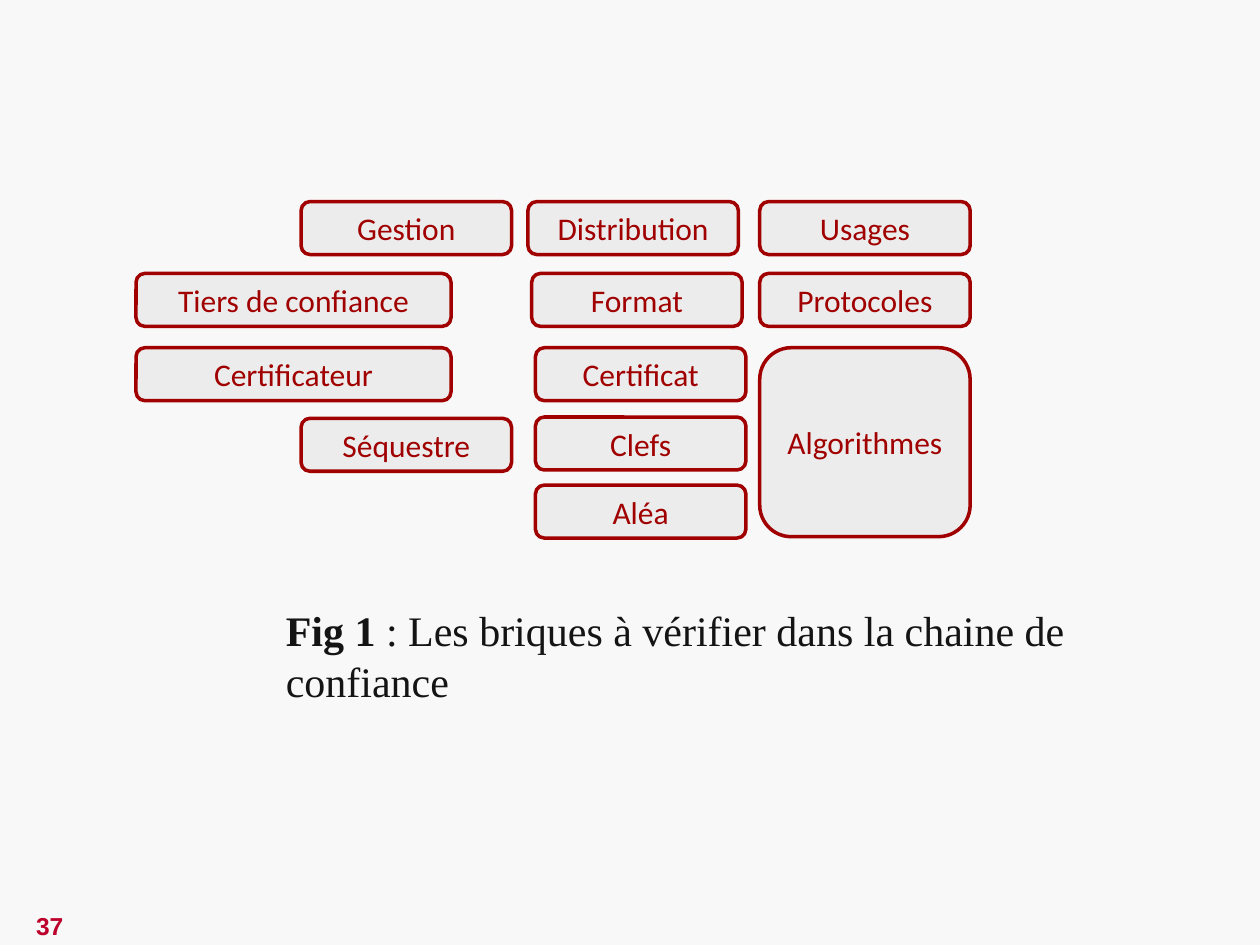
import typing
from dataclasses import dataclass

import pptx
import pptx.dml.color
import pptx.enum.shapes
import pptx.enum.text
import pptx.util

Inches = pptx.util.Inches
Pt = pptx.util.Pt
Align = pptx.enum.text.PP_ALIGN
Anchor = pptx.enum.text.MSO_ANCHOR

COLORS = {
    "back": "F8F8F8",
    "fill": "ECECEC",
    "brick": "A00000",
    "text": "141414",
    "page": "BC002B",
}
ROWS = (1.6, 2.17, 2.76, 3.31, 3.85)
WIDE = 2.5


@dataclass(frozen=True)
class Brick:
    text: str
    left: float
    top: float
    width: float = 1.67
    height: float = 0.42


BRICKS = (
    Brick("Gestion", 2.39, ROWS[0]),
    Brick("Tiers de confiance", 1.08, ROWS[1], WIDE),
    Brick("Certificateur", 1.08, ROWS[2], WIDE),
    Brick("Séquestre", 2.39, 3.32),
    Brick("Distribution", 4.19, ROWS[0]),
    Brick("Format", 4.22, ROWS[1]),
    Brick("Certificat", 4.25, ROWS[2]),
    Brick("Clefs", 4.25, ROWS[3]),
    Brick("Aléa", 4.25, ROWS[4]),
    Brick("Usages", 6.03, ROWS[0]),
    Brick("Protocoles", 6.03, ROWS[1]),
    Brick("Algorithmes", 6.03, ROWS[2], height=1.5),
)


def color(name: str) -> pptx.dml.color.RGBColor:
    return pptx.dml.color.RGBColor.from_string(COLORS[name])


def set_font(para: typing.Any, name: str, size: int, tone: str) -> None:
    para.font.name = name
    para.font.size = Pt(size)
    para.font.color.rgb = color(tone)


def draw_brick(slide: typing.Any, brick: Brick) -> None:
    shape = slide.shapes.add_shape(
        pptx.enum.shapes.MSO_SHAPE.ROUNDED_RECTANGLE,
        Inches(brick.left), Inches(brick.top),
        Inches(brick.width), Inches(brick.height),
    )
    shape.shadow.inherit = False
    shape.fill.solid()
    shape.fill.fore_color.rgb = color("fill")
    shape.line.color.rgb = color("brick")
    shape.line.width = Pt(2)
    frame = shape.text_frame
    frame.vertical_anchor = Anchor.MIDDLE
    para = frame.paragraphs[0]
    para.text = brick.text
    para.alignment = Align.CENTER
    set_font(para, "Calibri", 18, "brick")


def add_box(slide: typing.Any, left: float, top: float,
            width: float, height: float) -> typing.Any:
    box = slide.shapes.add_textbox(
        Inches(left), Inches(top), Inches(width), Inches(height))
    frame = box.text_frame
    frame.word_wrap = True
    frame.auto_size = pptx.enum.text.MSO_AUTO_SIZE.SHAPE_TO_FIT_TEXT
    return frame


def draw_page(slide: typing.Any) -> None:
    frame = add_box(slide, -0.02, 7.18, 0.83, 0.34)
    frame.vertical_anchor = Anchor.MIDDLE
    para = frame.paragraphs[0]
    para.text = "37"
    para.alignment = Align.CENTER
    set_font(para, "Arial", 14, "page")
    para.font.bold = True


def draw_title(slide: typing.Any) -> None:
    para = add_box(slide, 2.17, 4.75, 7, 0.4).paragraphs[0]
    label = para.add_run()
    label.text = "Fig 1"
    label.font.bold = True
    para.add_run().text = " : Les briques à vérifier dans la chaine de confiance"
    set_font(para, "Times New Roman", 24, "text")


def main() -> None:
    deck = pptx.Presentation()
    deck.slide_width = Inches(10)
    deck.slide_height = Inches(7.5)
    slide = deck.slides.add_slide(deck.slide_layouts[6])
    slide.background.fill.solid()
    slide.background.fill.fore_color.rgb = color("back")
    draw_page(slide)
    for brick in BRICKS:
        draw_brick(slide, brick)
    draw_title(slide)
    deck.save("out.pptx")


if __name__ == "__main__":
    main()
